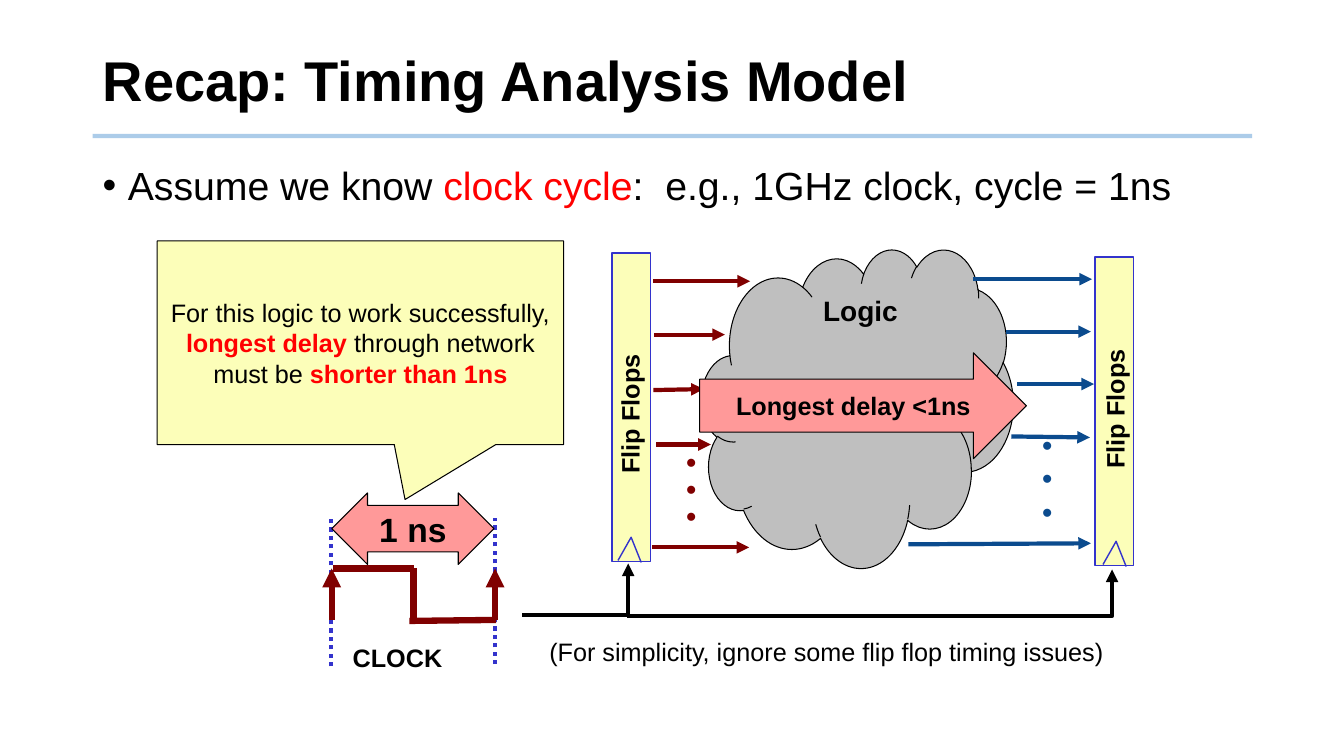
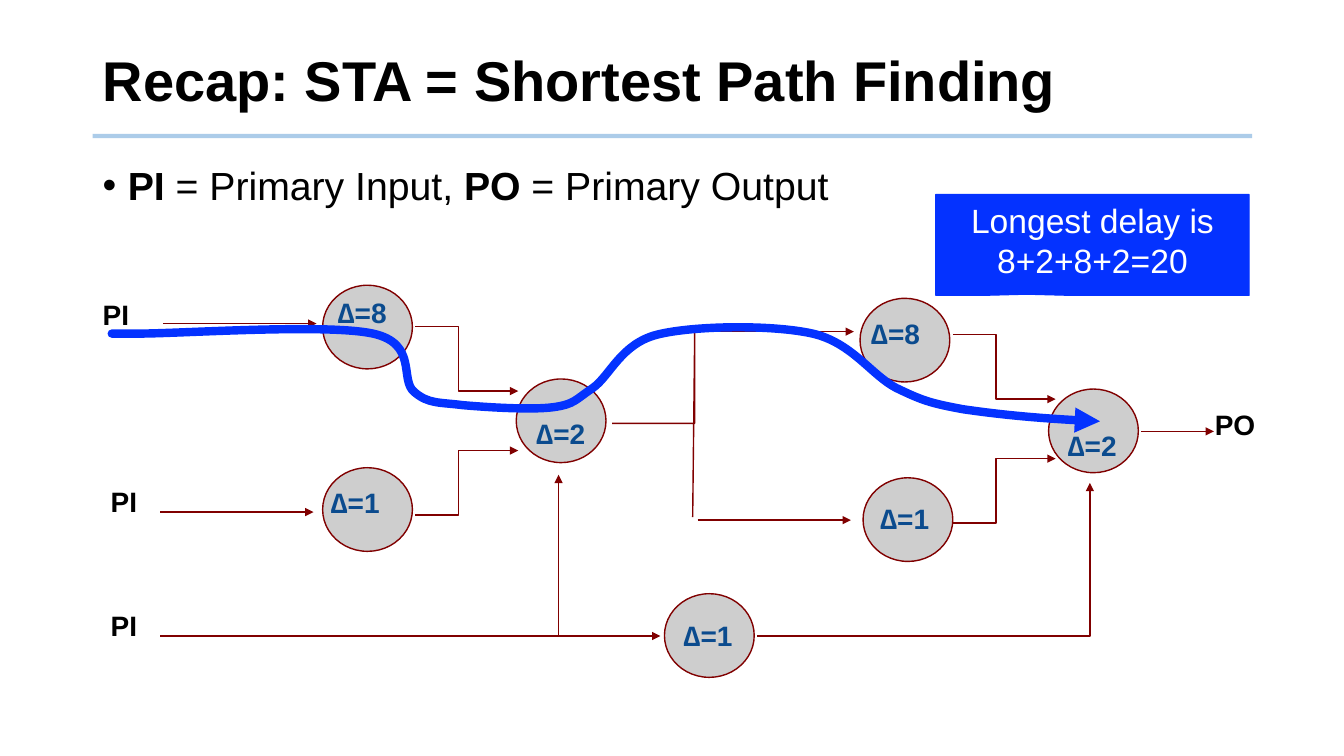
from pptx import Presentation
from pptx.dml.color import RGBColor
from pptx.enum.dml import MSO_LINE
from pptx.enum.shapes import MSO_CONNECTOR, MSO_SHAPE
from pptx.enum.text import MSO_ANCHOR, PP_ALIGN
from pptx.oxml.ns import qn
from pptx.util import Pt
from lxml import etree

UNIT = 9144
FONT = "Arial"
COLORS = {
    "black": "000000", "white": "FFFFFF", "red": "FF0000", "rule": "5B9BD5",
    "maroon": "800000", "navy": "0B4B8E", "blue": "0432FF", "indigo": "3333CC",
    "cream": "FCFEB9", "pink": "FF9999", "cloud": "BFBFBF", "gate": "CECECE",
}
STRAIGHT = MSO_CONNECTOR.STRAIGHT
DOTTED = MSO_LINE.ROUND_DOT
LEFT, CENTER = PP_ALIGN.LEFT, PP_ALIGN.CENTER
TOP, MIDDLE = MSO_ANCHOR.TOP, MSO_ANCHOR.MIDDLE
RECT, OVAL, CLOUD = MSO_SHAPE.RECTANGLE, MSO_SHAPE.OVAL, MSO_SHAPE.CLOUD
ARROW, DOUBLE = MSO_SHAPE.RIGHT_ARROW, MSO_SHAPE.LEFT_RIGHT_ARROW
CALLOUT = MSO_SHAPE.RECTANGULAR_CALLOUT


def emu(*sizes):
    return [size * UNIT for size in sizes]


def rgb(name):
    return RGBColor.from_string(COLORS[name])


def text(shape, *paras, size=18, color="black", bold=False, align=LEFT,
         anchor=TOP, inset=(10, 5, 10, 5), wrap=False, lead=1, bullet=False):
    frame = shape.text_frame
    frame.word_wrap = wrap
    frame.vertical_anchor = anchor
    (frame.margin_left, frame.margin_top,
     frame.margin_right, frame.margin_bottom) = emu(*inset)
    for i, runs in enumerate(paras):
        para = frame.add_paragraph() if i else frame.paragraphs[0]
        para.alignment = align
        para.line_spacing = lead
        if bullet:
            props = para._p.get_or_add_pPr()
            props.set("marL", str(25 * UNIT))
            props.set("indent", str(-25 * UNIT))
            etree.SubElement(props, qn("a:buFont")).set("typeface", FONT)
            etree.SubElement(props, qn("a:buChar")).set("char", "•")
        para.font.size = Pt(size)
        for part in [runs] if isinstance(runs, str) else runs:
            words, tint, heavy = (part, color, bold) if isinstance(part, str) else part
            run = para.add_run()
            run.text = words
            run.font.name = FONT
            run.font.size = Pt(size)
            run.font.bold = heavy
            run.font.color.rgb = rgb(tint)


def label(slide, box, *paras, turn=0, **style):
    shape = slide.shapes.add_textbox(*emu(*box))
    shape.rotation = turn
    text(shape, *paras, **style)


def block(slide, kind, box, fill, edge="black", width=0.75, adjust=()):
    shape = slide.shapes.add_shape(kind, *emu(*box))
    shape.shadow.inherit = False
    shape.fill.solid()
    shape.fill.fore_color.rgb = rgb(fill)
    shape.line.color.rgb = rgb(edge)
    shape.line.width = Pt(width)
    for i, value in enumerate(adjust):
        shape.adjustments[i] = value
    return shape


def stroke(shape, color, width, head=False, dash=None):
    line = shape.line
    line.color.rgb = rgb(color)
    line.width = Pt(width)
    if dash:
        line.dash_style = dash
    if head:
        etree.SubElement(line._get_or_add_ln(), qn("a:tailEnd")).set("type", "triangle")


def link(slide, x1, y1, x2, y2, color, width, **style):
    line = slide.shapes.add_connector(STRAIGHT, *emu(x1, y1, x2, y2))
    stroke(line, color, width, **style)
    etree.SubElement(line.element.spPr, qn("a:effectLst"))
    return line


def trace(slide, x, y, dots, color, width, curve=False, **style):
    dots = [(x + dx, y + dy) for dx, dy in dots]
    pen = slide.shapes.build_freeform(*dots[0], scale=UNIT)
    pen.add_line_segments(dots[1:], close=False)
    shape = pen.convert_to_shape()
    shape.shadow.inherit = False
    shape.fill.background()
    stroke(shape, color, width, **style)
    if curve:
        track = shape.element.xpath(".//a:path")[0]
        steps = track.findall(qn("a:lnTo"))
        for i in range(0, len(steps), 3):
            bend = etree.SubElement(track, qn("a:cubicBezTo"))
            for step in steps[i:i + 3]:
                bend.append(step[0])
                track.remove(step)


def page(deck, title, *runs):
    slide = deck.slides.add_slide(deck.slide_layouts[6])
    rule = link(slide, 92, 135, 1242, 135, "rule", 3)
    tint = rule.element.xpath(".//a:ln//a:srgbClr")[0]
    etree.SubElement(tint, qn("a:alpha")).set("val", "50000")
    label(slide, (92, 28, 1150, 110), title, size=40, bold=True,
          anchor=MIDDLE, wrap=True, lead=0.9)
    label(slide, (92, 160, 1150, 515), runs, size=28, wrap=True, lead=0.9, bullet=True)
    return slide


def flop(slide, x, y, dx, dy, notch):
    block(slide, RECT, (x, y, 38, 306), "cream", "indigo", 1)
    label(slide, (x + dx, y + dy, 139, 40), "Flip Flops", turn=270, bold=True)
    trace(slide, x + notch, y + 282, [(0, 23), (13, 0), (23, 25)], "indigo", 1)


def logic(slide, x, y):
    block(slide, CLOUD, (x + 96, y + 7, 309, 316), "cloud")
    label(slide, (x + 206, y + 46, 95, 43), "Logic", size=20, bold=True, align=CENTER)
    flop(slide, x + 7, y + 11, -52, 139, 6)
    flop(slide, x + 486, y + 15, -50, 130, 8)
    for wire in ([(-82, 370), (23, 370), (23, 319)],
                 [(22, 371), (503, 371), (503, 325)]):
        trace(slide, x, y, wire, "black", 3, head=True)
    sides = {
        "maroon": [(48, 39, 144, 39), (49, 92, 119, 92), (48, 147, 98, 146),
                   (51, 201, 105, 201), (47, 303, 143, 303)],
        "navy": [(365, 37, 483, 37), (398, 89, 482, 89), (409, 141, 485, 141),
                 (403, 193, 481, 194), (301, 300, 482, 299)],
    }
    for color, wires in sides.items():
        for x1, y1, x2, y2 in wires:
            link(slide, x + x1, y + y1, x + x2, y + y2, color, 3, head=True)
    for dx, dy, color, lead in ((71, 203, "maroon", 0.8), (424, 179, "navy", 1)):
        label(slide, (x + dx, y + dy, 30, 100), *"•••", size=20, color=color,
              bold=True, lead=lead)
    delay = block(slide, ARROW, (x + 94, y + 110, 324, 105), "pink")
    text(delay, "Longest delay <1ns", bold=True, align=CENTER, anchor=MIDDLE,
         inset=(7, 5, 0, 5))


def clock(slide, x, y):
    for dx, low, high in ((0, 172, 26), (163, 170, 25)):
        link(slide, x + dx, y + low, x + dx, y + high, "indigo", 3, dash=DOTTED)
    for x1, y1, x2, y2, head in ((78, 127, 164, 126, False), (1, 126, 1, 75, True),
                                 (2, 75, 83, 75, False), (82, 126, 82, 75, False),
                                 (163, 126, 163, 75, True)):
        link(slide, x + x1, y + y1, x + x2, y + y2, "maroon", 4.5, head=head)
    span = block(slide, DOUBLE, (x + 1, y, 161, 71), "pink", adjust=(0.65, 0.5))
    text(span, "1 ns", size=24, bold=True, align=CENTER, anchor=MIDDLE,
         inset=(0, 5, 0, 5))
    label(slide, (x + 12, y + 143, 110, 40), "CLOCK", bold=True)


def graph(slide, x, y):
    gates = ((228, 0, 8, 5, 5), (228, 181, 1, -2, 13), (420, 93, 2, 10, 32),
             (761, 13, 8, 1, 13), (764, 191, 1, 7, 19), (948, 103, 2, 9, 34),
             (567, 306, 1, 9, 20))
    for gx, gy, delay, dx, dy in gates:
        block(slide, OVAL, (x + gx, y + gy, 89, 83), "gate", "maroon", 1)
        label(slide, (x + gx + dx, y + gy + dy, 69, 43), f"∆={delay}", size=20,
              color="navy", bold=True)
    for x1, dy, x2 in ((70, 38, 222), (67, 225, 219), (603, 46, 755),
                       (600, 233, 752), (67, 348, 563), (1040, 145, 1112)):
        link(slide, x + x1, y + dy, x + x2, y + dy, "maroon", 1, head=True)
    for dx, dy in ((320, 41), (853, 49)):
        for drop, rise in ((0, 64), (187, -64)):
            trace(slide, x + dx, y + dy + drop,
                  [(0, 0), (43, 0), (43, rise), (102, rise)], "maroon", 1, head=True)
    trace(slide, x, y, [(515, 137), (597, 137), (597, 46), (595, 230)], "maroon", 1)
    for start, end, top in ((395, 462, 188), (659, 989, 196)):
        trace(slide, x, y, [(start, 348), (end, 348), (end, top)], "maroon", 1, head=True)
    for dx, dy, width, name in ((0, 7, 46, "PI"), (8, 193, 46, "PI"),
                                (8, 316, 46, "PI"), (1103, 116, 60, "PO")):
        label(slide, (x + dx, y + dy, width, 43), name, size=20, bold=True)


def route(slide, x, y):
    dots = [(33, 48), (19, 48), (5, 48), (46, 48), (87, 48), (232, 38), (278, 48),
            (323, 58), (304, 94), (319, 106), (333, 118), (344, 116), (367, 119),
            (390, 121), (435, 124), (457, 121), (478, 118), (478, 114), (496, 102),
            (513, 90), (524, 58), (560, 49), (596, 40), (674, 39), (714, 48),
            (753, 57), (772, 89), (797, 102), (822, 114), (830, 117), (863, 123),
            (897, 128), (947, 133), (999, 135)]
    trace(slide, x, y, dots, "blue", 6, curve=True, head=True)


def model(deck):
    slide = page(deck, "Recap: Timing Analysis Model", "Assume we know",
                 (" clock cycle", "red", False), ":  e.g., 1GHz clock, cycle = 1ns")
    logic(slide, 600, 240)
    clock(slide, 328, 489)
    note = block(slide, CALLOUT, (156, 239, 403, 202), "cream", adjust=(0.11, 0.77))
    text(note, ["For this logic to work successfully, ", ("longest delay ", "red", True),
                "through network must be ", ("shorter than 1ns", "red", True)],
         align=CENTER, anchor=MIDDLE, wrap=True)
    label(slide, (535, 626, 575, 40),
          "(For simplicity, ignore some flip flop timing issues)")


def paths(deck):
    slide = page(deck, "Recap: STA = Shortest Path Finding", ("PI", "black", True),
                 " = Primary Input, ", ("PO", "black", True), " = Primary Output")
    graph(slide, 92, 283)
    note = block(slide, CALLOUT, (928, 193, 311, 100), "blue", "blue",
                 adjust=(-0.21, 0.49))
    text(note, "Longest delay is 8+2+8+2=20", size=24, color="white",
         align=CENTER, wrap=True)
    route(slide, 92, 283)


def main():
    deck = Presentation()
    deck.slide_width, deck.slide_height = emu(1333, 750)
    model(deck)
    paths(deck)
    deck.save("out.pptx")


if __name__ == "__main__":
    main()
